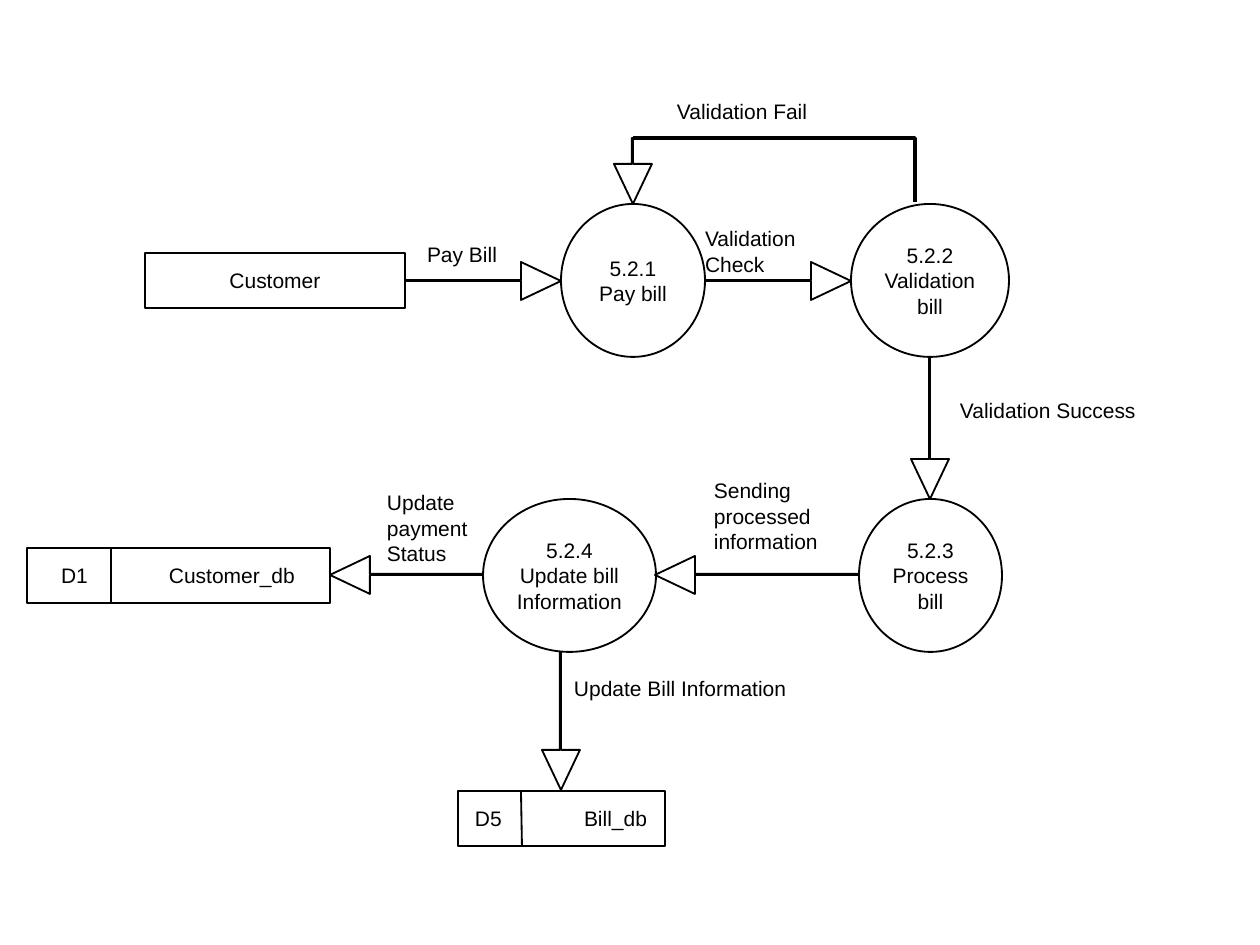
from pptx import Presentation
from pptx.dml.color import RGBColor
from pptx.enum import shapes, text
from pptx.oxml.ns import qn
from pptx.util import Pt
from lxml import etree

PX = 914400 / 126  # EMU in one px
BLACK = RGBColor(0, 0, 0)
WHITE = RGBColor(255, 255, 255)
THIN, THICK = 1.05, 2.07
HEAD_LENGTH, HEAD_HALF = 40, 19
LINE_HEIGHT = 25

# Nodes: text, left, top, width, height
PROCESSES = [
    ("5.2.1\nPay bill", 561, 204, 144, 153),
    ("5.2.2\nValidation bill", 851, 204, 158, 153),
    ("5.2.3\nProcess bill", 859, 499, 143, 153),
    ("5.2.4\nUpdate bill Information", 483, 499, 173, 153),
]
ENTITY = ("Customer", 145, 253, 260, 55)

# Data stores: left, top, width, height, divider (top x, bottom x), (text, x) pairs
STORES = [
    (27, 548, 303, 55, (111, 111), [("D1", 61), ("Customer_db", 169)]),
    (458, 791, 207, 55, (521, 522), [("D5", 475), ("Bill_db", 584)]),
]

# Flows: tail, tip
FLOWS = [
    ((405, 281), (561, 281)),
    ((705, 281), (851, 281)),
    ((930, 357), (930, 499)),
    ((633, 138), (633, 204)),
    ((859, 575), (655, 575)),
    ((483, 575), (330, 575)),
    ((561, 652), (561, 790)),
]
FAIL_ROUTE = [(633, 138), (915, 138), (915, 202)]

# Flow labels: text, left, top, width, number of lines
LABELS = [
    ("Validation Fail", 677, 99, 272, 1),
    ("Pay Bill", 427, 242, 106, 1),
    ("Validation Check", 705, 226, 107, 2),
    ("Validation Success", 960, 398, 272, 1),
    ("Sending processed information", 714, 478, 127, 3),
    ("Update payment Status", 387, 490, 92, 3),
    ("Update Bill Information", 574, 676, 272, 1),
]


def emu(*lengths):
    return [round(length * PX) for length in lengths]


def write(shape, words, align, anchor):
    frame = shape.text_frame
    frame.word_wrap = True
    frame.vertical_anchor = anchor
    frame.margin_left = frame.margin_right = frame.margin_top = frame.margin_bottom = 0
    frame.text = words
    for paragraph in frame.paragraphs:
        paragraph.alignment = align
        paragraph.font.name = "Arial"
        paragraph.font.size = Pt(12)
        paragraph.font.color.rgb = BLACK


def outline(shape, width=THIN):
    shape.shadow.inherit = False
    shape.fill.solid()
    shape.fill.fore_color.rgb = WHITE
    shape.line.color.rgb = BLACK
    shape.line.width = Pt(width)


def add_node(slide, kind, box, words=""):
    shape = slide.shapes.add_shape(kind, *emu(*box))
    outline(shape)
    write(shape, words, text.PP_ALIGN.CENTER, text.MSO_ANCHOR.MIDDLE)


def add_label(slide, words, left, top, width, lines=1):
    box = slide.shapes.add_textbox(*emu(left, top, width, lines * LINE_HEIGHT))
    write(box, words, text.PP_ALIGN.LEFT, text.MSO_ANCHOR.TOP)


def add_outline(slide, points, close):
    builder = slide.shapes.build_freeform(*points[0], scale=PX)
    builder.add_line_segments(points[1:], close=close)
    shape = builder.convert_to_shape()
    outline(shape)
    return shape


def add_flow(slide, tail, tip):
    """Hollow block arrow: a triangular head on a shaft one px wide."""
    length = abs(tip[0] - tail[0]) + abs(tip[1] - tail[1])
    along = [(end - start) // length for start, end in zip(tail, tip)]
    across = (abs(along[1]), abs(along[0]))
    profile = [(0, 0), (HEAD_LENGTH, -HEAD_HALF), (HEAD_LENGTH, -1), (length, -1),
               (length, 0), (HEAD_LENGTH, 0), (HEAD_LENGTH, HEAD_HALF)]
    points = [tuple(tip[i] - back * along[i] + side * across[i] for i in (0, 1))
              for back, side in profile]
    add_outline(slide, points, True)


def add_divider(slide, start, end):
    line = slide.shapes.add_connector(shapes.MSO_CONNECTOR.STRAIGHT, *emu(*start, *end))
    line.line.color.rgb = BLACK
    line.line.width = Pt(THIN)
    etree.SubElement(line._element.spPr, qn("a:effectLst"))


def main():
    presentation = Presentation()
    presentation.slide_width, presentation.slide_height = emu(1260, 945)
    slide = presentation.slides.add_slide(presentation.slide_layouts[6])

    # Entity and processes
    add_node(slide, shapes.MSO_SHAPE.RECTANGLE, ENTITY[1:], ENTITY[0])
    for words, *box in PROCESSES:
        add_node(slide, shapes.MSO_SHAPE.OVAL, box, words)

    # Data stores
    for left, top, width, height, (top_x, bottom_x), parts in STORES:
        add_node(slide, shapes.MSO_SHAPE.RECTANGLE, (left, top, width, height))
        add_divider(slide, (top_x, top), (bottom_x, top + height))
        for words, x in parts:
            add_label(slide, words, x, top + (height - LINE_HEIGHT) // 2, left + width - x)

    # Flows and their labels
    for tail, tip in FLOWS:
        add_flow(slide, tail, tip)
    route = add_outline(slide, FAIL_ROUTE, False)
    route.fill.background()
    route.line.width = Pt(THICK)
    for label in LABELS:
        add_label(slide, *label)

    presentation.save("out.pptx")


if __name__ == "__main__":
    main()
